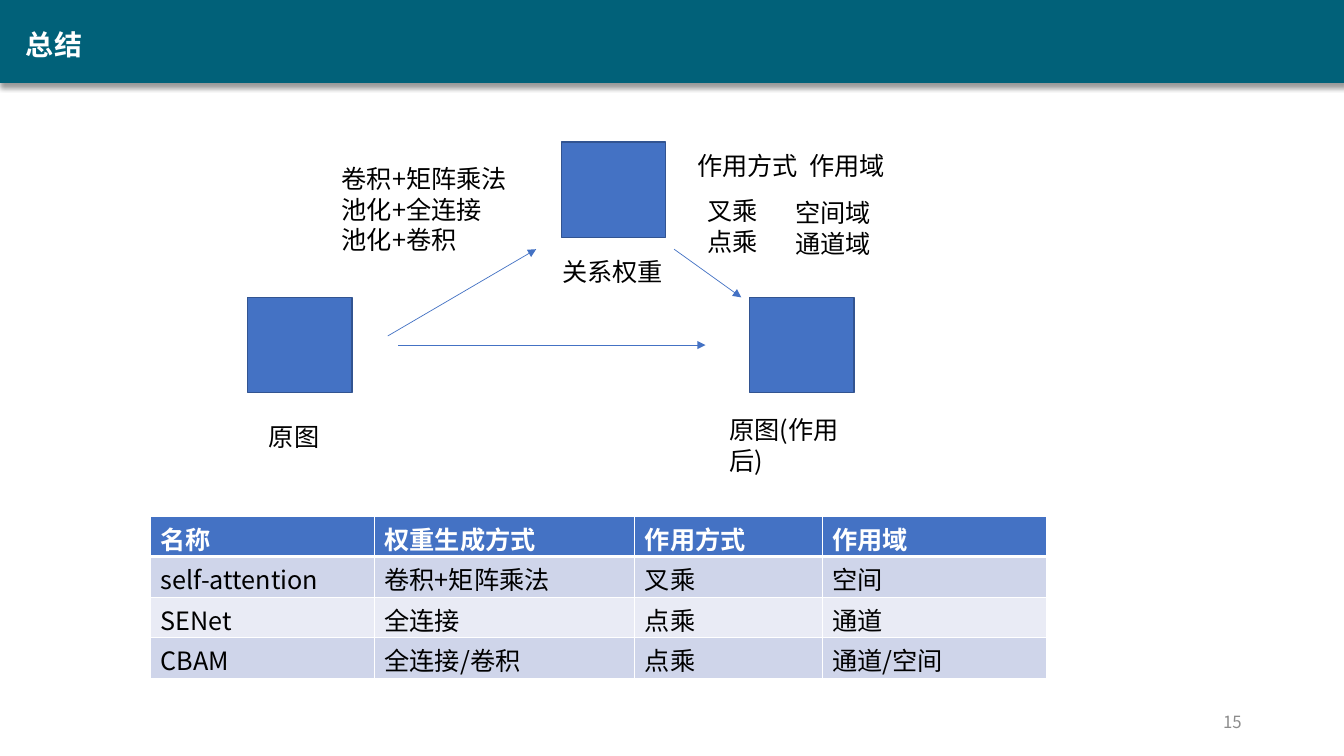
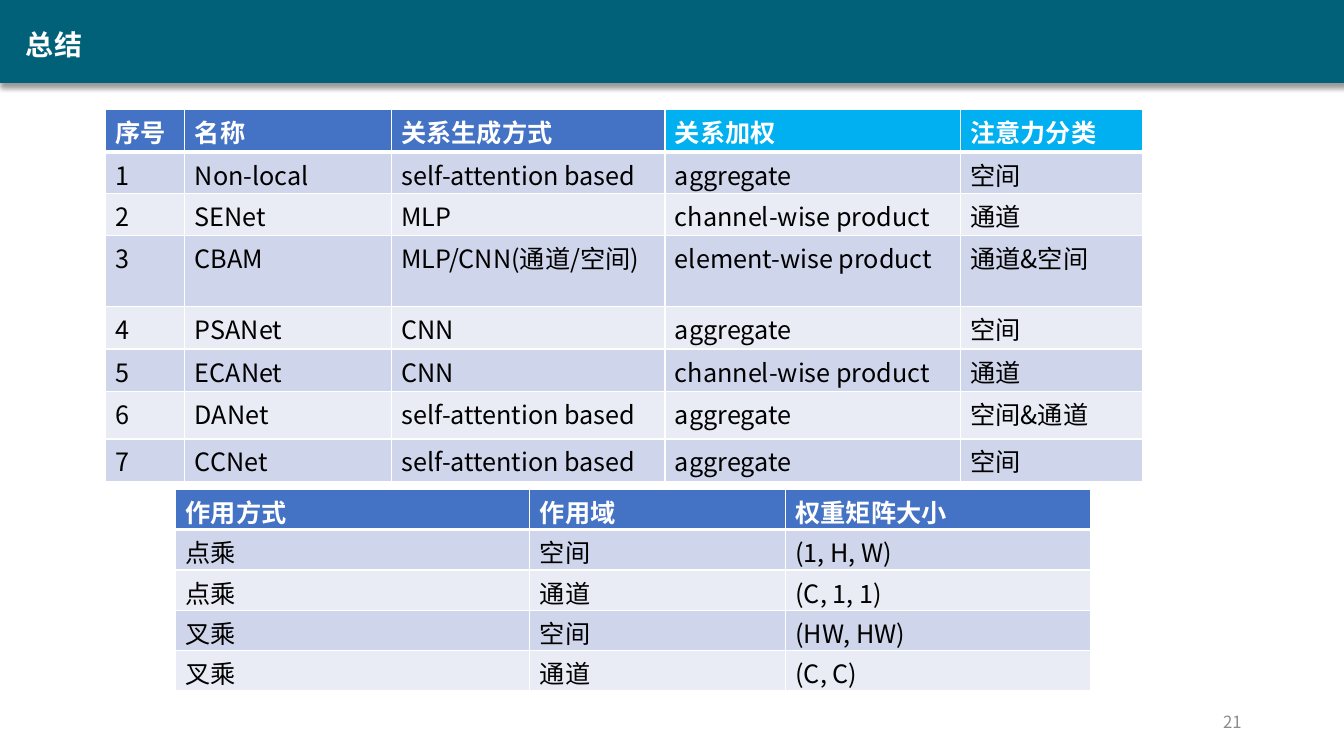
from pptx import Presentation
from pptx.dml.color import RGBColor
from pptx.enum.shapes import MSO_CONNECTOR, MSO_SHAPE
from pptx.enum.text import PP_ALIGN
from pptx.oxml import parse_xml
from pptx.oxml.ns import nsdecls
from pptx.oxml.xmlchemy import OxmlElement
from pptx.util import Pt

FONT = "Noto Sans CJK SC"
TEAL, BLUE, DARK_BLUE, CYAN = "016179", "4472C4", "325491", "00B0F0"
WHITE, BLACK, GREY = "FFFFFF", "000000", "8C8C8C"
BANDS = ("CFD5EA", "E9EBF5")

TITLE = {"size": 20, "bold": True, "color": WHITE, "spacing": 29}
BODY = {"size": 18, "bold": False, "color": BLACK, "spacing": 21.8}
HEADER = {**BODY, "bold": True, "color": WHITE}
PAGE_NUMBER = {"size": 12, "bold": False, "color": GREY, "spacing": 17.5,
               "align": PP_ALIGN.RIGHT}

BOX_MARGINS = {"margin_top": Pt(5), "margin_bottom": 0}
CELL_MARGINS = {"margin_top": Pt(7), "margin_bottom": 0}


def rgb(value):
    return RGBColor.from_string(value)


def set_attributes(target, values):
    for name, value in values.items():
        setattr(target, name, value)


def write_text(frame, text, style):
    """Write one paragraph for each line of text."""
    frame.text = text
    for paragraph in frame.paragraphs:
        set_attributes(paragraph, {
            "line_spacing": Pt(style["spacing"]),
            "alignment": style.get("align", PP_ALIGN.LEFT),
        })
        font = paragraph.runs[0].font
        set_attributes(font, {"name": FONT, "size": Pt(style["size"]),
                              "bold": style["bold"]})
        font.color.rgb = rgb(style["color"])
        east_asian = OxmlElement("a:ea")
        east_asian.set("typeface", FONT)
        paragraph.runs[0]._r.rPr.find(
            "{*}latin").addnext(east_asian)


def add_text(slide, text, left, top, width, height, style=BODY):
    shape = slide.shapes.add_textbox(Pt(left), Pt(top), Pt(width), Pt(height))
    set_attributes(shape.text_frame, {"word_wrap": True, **BOX_MARGINS})
    write_text(shape.text_frame, text, style)


def add_rectangle(slide, left, top, width, height, fill, line):
    shape = slide.shapes.add_shape(
        MSO_SHAPE.RECTANGLE, Pt(left), Pt(top), Pt(width), Pt(height))
    shape.shadow.inherit = False
    shape.fill.solid()
    shape.fill.fore_color.rgb = rgb(fill)
    shape.line.color.rgb = rgb(line)
    shape.line.width = Pt(1)
    return shape


def add_arrow(slide, start, end):
    points = [Pt(value) for value in (*start, *end)]
    connector = slide.shapes.add_connector(MSO_CONNECTOR.STRAIGHT, *points)
    connector.line.color.rgb = rgb(BLUE)
    connector.line.width = Pt(0.5)
    tail = OxmlElement("a:tailEnd")
    tail.set("type", "triangle")
    connector.line._get_or_add_ln().append(tail)
    connector._element.spPr.append(OxmlElement("a:effectLst"))


def set_borders(cell, bottom):
    """Draw white cell borders, the bottom one in its own width."""
    widths = {"lnL": 1, "lnR": 1, "lnT": 1, "lnB": bottom}
    for index, (side, width) in enumerate(widths.items()):
        border = parse_xml(
            f'<a:{side} {nsdecls("a")} w="{Pt(width)}"><a:solidFill>'
            f'<a:srgbClr val="{WHITE}"/></a:solidFill></a:{side}>')
        cell._tc.get_or_add_tcPr().insert(index, border)


def add_table(slide, left, top, widths, heights, rows, header_fills):
    table = slide.shapes.add_table(
        len(rows), len(widths), Pt(left), Pt(top),
        Pt(sum(widths)), Pt(sum(heights))).table
    for column, width in zip(table.columns, widths):
        column.width = Pt(width)
    for row_index, (row, height) in enumerate(zip(rows, heights)):
        table.rows[row_index].height = Pt(height)
        is_header = row_index == 0
        for column_index, text in enumerate(row):
            cell = table.cell(row_index, column_index)
            set_attributes(cell, CELL_MARGINS)
            write_text(cell.text_frame, text, HEADER if is_header else BODY)
            fill = (header_fills[column_index] if is_header
                    else BANDS[(row_index - 1) % 2])
            cell.fill.solid()
            cell.fill.fore_color.rgb = rgb(fill)
            # The header's rule is shared with the top of the first body row.
            set_borders(cell, 3 if is_header else 1)


def add_slide(presentation, title, number):
    """Add a blank slide with the title band and the page number."""
    slide = presentation.slides.add_slide(presentation.slide_layouts[6])
    band = add_rectangle(slide, 0, 0, 961, 58.5, TEAL, TEAL)
    effects = band._element.spPr.find("{*}effectLst")
    effects.append(parse_xml(
        f'<a:outerShdw {nsdecls("a")} blurRad="{Pt(4)}" dist="{Pt(3)}" '
        f'dir="5400000" algn="t" rotWithShape="0"><a:srgbClr val="{BLACK}">'
        '<a:alpha val="40000"/></a:srgbClr></a:outerShdw>'))
    add_text(slide, title, 11.5, 10, 56, 35, TITLE)
    add_text(slide, str(number), 678, 500.4, 216, 28.8, PAGE_NUMBER)
    return slide


def add_weight_diagram(slide):
    for left, top in ((177, 212.4), (401, 101.5), (535.5, 212.4)):
        add_rectangle(slide, left, top, 74.5, 68, BLUE, DARK_BLUE)
    labels = (
        ("原图", 185, 296, 52, 29),
        ("原图(作用后)", 514, 291, 115, 29),
        ("关系权重", 394.5, 178, 88, 29),
        ("卷积+矩阵乘法\n池化+全连接\n池化+卷积", 237, 111.5, 135, 73),
        ("叉乘\n点乘", 498, 134.6, 52, 51),
        ("空间域\n通道域", 561, 136, 70, 51),
        ("作用方式", 491, 102.2, 88, 29),
        ("作用域", 571, 102.2, 70, 29),
    )
    for label in labels:
        add_text(slide, *label)
    arrows = (
        ((284.5, 246.5), (504, 246.5)),
        ((277, 240), (383, 178)),
        ((481.5, 178), (529.5, 212.4)),
    )
    for start, end in arrows:
        add_arrow(slide, start, end)


def main():
    presentation = Presentation()
    set_attributes(presentation,
                   {"slide_width": Pt(960), "slide_height": Pt(540)})

    diagram_slide = add_slide(presentation, "总结", 15)
    add_weight_diagram(diagram_slide)
    add_table(diagram_slide, 107.5, 368.6, (160, 186, 134, 160), [29] * 4, (
        ("名称", "权重生成方式", "作用方式", "作用域"),
        ("self-attention", "卷积+矩阵乘法", "叉乘", "空间"),
        ("SENet", "全连接", "点乘", "通道"),
        ("CBAM", "全连接/卷积", "点乘", "通道/空间"),
    ), [BLUE] * 4)

    comparison_slide = add_slide(presentation, "总结", 21)
    add_table(comparison_slide, 75, 78.5, (57, 147.5, 195.5, 211, 130.5),
              (30.2, 29.5, 30.2, 50.8, 30.2, 30.2, 34, 30.5), (
        ("序号", "名称", "关系生成方式", "关系加权", "注意力分类"),
        ("1", "Non-local", "self-attention based", "aggregate", "空间"),
        ("2", "SENet", "MLP", "channel-wise product", "通道"),
        ("3", "CBAM", "MLP/CNN(通道/空间)", "element-wise product", "通道&空间"),
        ("4", "PSANet", "CNN", "aggregate", "空间"),
        ("5", "ECANet", "CNN", "channel-wise product", "通道"),
        ("6", "DANet", "self-attention based", "aggregate", "空间&通道"),
        ("7", "CCNet", "self-attention based", "aggregate", "空间"),
    ), [BLUE] * 3 + [CYAN] * 2)
    add_table(comparison_slide, 125.5, 349.5, (253, 182.5, 218), [28.8] * 5, (
        ("作用方式", "作用域", "权重矩阵大小"),
        ("点乘", "空间", "(1, H, W)"),
        ("点乘", "通道", "(C, 1, 1)"),
        ("叉乘", "空间", "(HW, HW)"),
        ("叉乘", "通道", "(C, C)"),
    ), [BLUE] * 3)

    presentation.save("out.pptx")


if __name__ == "__main__":
    main()
